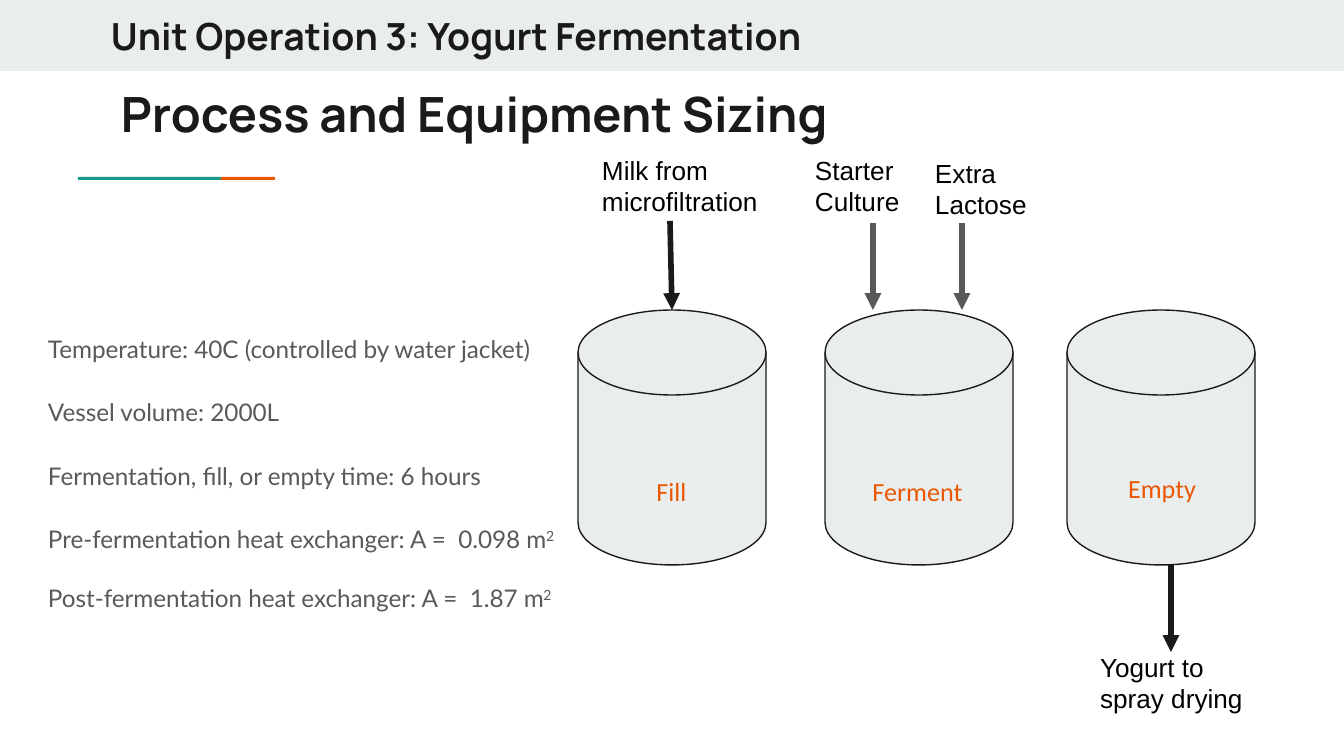
"""Build the yogurt fermentation process and equipment sizing slide."""
from lxml import etree
from pptx import Presentation
from pptx.dml.color import RGBColor
from pptx.enum.shapes import MSO_CONNECTOR, MSO_SHAPE
from pptx.enum.text import MSO_ANCHOR, PP_ALIGN
from pptx.oxml.ns import qn
from pptx.util import Pt

RECT, TANK = MSO_SHAPE.RECTANGLE, MSO_SHAPE.FLOWCHART_MAGNETIC_DISK
STRAIGHT = MSO_CONNECTOR.STRAIGHT
TOP = MSO_ANCHOR.TOP
LEFT, CENTER = PP_ALIGN.LEFT, PP_ALIGN.CENTER
PX = 914400 / 134.4
THEME = {
    "ink": RGBColor.from_string("1A1A1A"),
    "gray": RGBColor.from_string("595959"),
    "black": RGBColor.from_string("000000"),
    "pale": RGBColor.from_string("E9EDEE"),
    "teal": RGBColor.from_string("1A9988"),
    "orange": RGBColor.from_string("EB5600"),
    "title": ("Manrope", 26, "ink", True),
    "header": ("Manrope", 20, "ink", True),
    "body": ("Lato", 13, "gray", False),
    "stage": ("Calibri", 14, "orange", False),
    "stream": ("Arial", 14, "black", False),
}


def px(*values):
    return [round(v * PX) for v in values]


def add_text(box, lines, style, align=LEFT, inset=13):
    name, size, color, bold = THEME[style]
    tf = s.shapes.add_textbox(*px(*box)).text_frame
    tf.word_wrap = True
    tf.vertical_anchor = TOP
    tf.margin_left = tf.margin_right = px(13)[0]
    tf.margin_top = tf.margin_bottom = px(inset)[0]
    for i, line in enumerate(lines):
        p = tf.add_paragraph() if i else tf.paragraphs[0]
        p.alignment = align
        p.font.name, p.font.size, p.font.bold = name, Pt(size), bold
        p.font.color.rgb = THEME[color]
        p.add_run().text = line
    return tf


prs = Presentation()
prs.slide_width, prs.slide_height = px(1344, 756)
s = prs.slides.add_slide(prs.slide_layouts[6])

for box, color in [((0, 0, 1344, 71), "pale"),
                   ((78, 177, 143, 3), "teal"),
                   ((221, 177, 54, 3), "orange")]:
    sp = s.shapes.add_shape(RECT, *px(*box))
    sp.shadow.inherit = False
    sp.fill.solid()
    sp.fill.fore_color.rgb = THEME[color]
    sp.line.fill.background()

add_text((98, 0, 1130, 79), ["Unit Operation 3: Yogurt Fermentation"], "header")
add_text((108, 71, 1130, 79), ["Process and Equipment Sizing"], "title")

tf = add_text((35, 317, 548, 379), [
    "Temperature: 40C (controlled by water jacket)",
    "Vessel volume: 2000L",
    "Fermentation, fill, or empty time: 6 hours",
    "Pre-fermentation heat exchanger: A =  0.098 m",
    "Post-fermentation heat exchanger: A =  1.87 m",
], "body")
for p in tf.paragraphs[1:]:
    p.space_before = Pt(16)
for p in tf.paragraphs[:-1]:
    p.line_spacing = 1.15
for p in tf.paragraphs[-2:]:
    r = p.add_run()
    r.text = "2"
    r._r.get_or_add_rPr().set("baseline", "30000")

for x in (578, 825, 1067):
    sp = s.shapes.add_shape(TANK, *px(x, 310, 188, 255))
    sp.shadow.inherit = False
    sp.fill.solid()
    sp.fill.fore_color.rgb = THEME["pale"]
    sp.line.color.rgb = THEME["ink"]
    sp.line.width = Pt(0.75)

for box, stage in [((640, 468, 63, 34), "Fill"),
                   ((832, 468, 171, 34), "Ferment"),
                   ((1090, 465, 144, 40), "Empty")]:
    add_text(box, [stage], "stage", CENTER, 7)

for ends, color in [((670, 221, 672, 310), "ink"),
                    ((1171, 565, 1171, 652), "ink"),
                    ((873, 223, 873, 310), "gray"),
                    ((962, 223, 962, 310), "gray")]:
    sp = s.shapes.add_connector(STRAIGHT, *px(*ends))
    sp.line.color.rgb = THEME[color]
    sp.line.width = Pt(3)
    etree.SubElement(sp.line._get_or_add_ln(), qn("a:tailEnd"), type="triangle")
    etree.SubElement(sp._element.spPr, qn("a:effectLst"))

for box, stream in [((589, 141, 188, 58), "Milk from microfiltration"),
                    ((1087, 638, 188, 58), "Yogurt to spray drying"),
                    ((802, 141, 129, 58), "Starter Culture"),
                    ((922, 144, 129, 58), "Extra Lactose")]:
    add_text(box, [stream], "stream")

prs.save("out.pptx")
